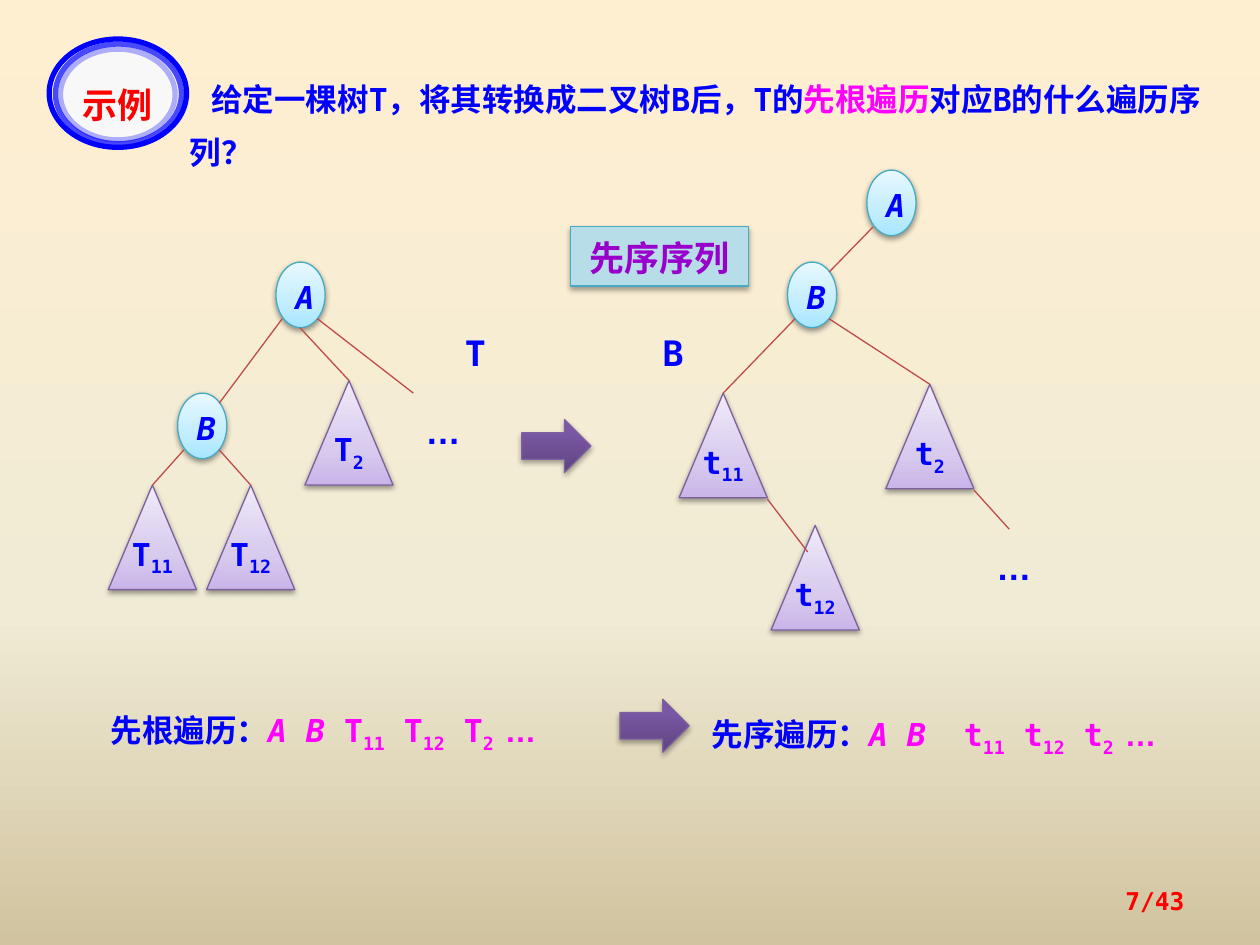
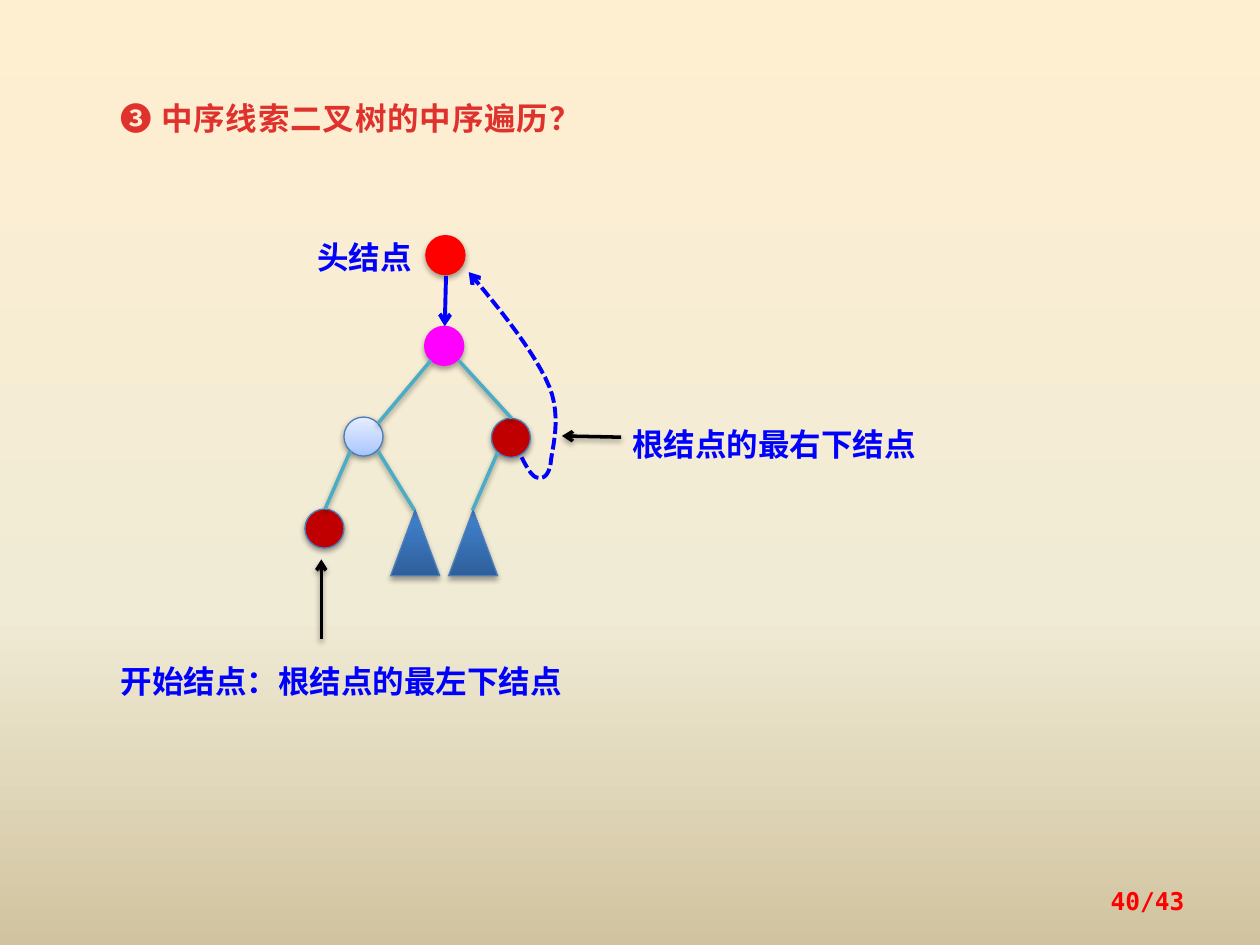
"""Builds two slides on tree traversal: tree to binary tree, and a threaded binary tree."""
from copy import deepcopy
from dataclasses import dataclass

from lxml import etree
from pptx import Presentation
from pptx import util as u
from pptx.dml.color import RGBColor
from pptx.enum import dml, shapes, text
from pptx.oxml.ns import qn

PX = 9144


@dataclass(frozen=True)
class Theme:
    blue: str = "0000FF"
    magenta: str = "FF00FF"
    red: str = "FF0000"
    heading: str = "E0322D"
    purple: str = "9900CC"
    edge: str = "BF4C48"
    teal: str = "4BACC6"
    black: str = "000000"
    mono: str = "DejaVu Sans Mono"
    chinese: str = "Noto Sans CJK SC"
    badge: str = "Noto Sans CJK JP"
    symbol: str = "Arial"
    body: int = 18
    large: int = 20
    small: int = 14
    backdrop: tuple = ((0, "FFEFD1"), (65, "F0EBD5"), (100, "D1C39F"))
    sky: tuple = ((0, "A7E6FF"), (35, "C1EDFF"), (100, "E7F8FF"))
    lilac: tuple = ((0, "C9B5E8"), (35, "D8CBEE"), (100, "F0EAF9"))
    violet: tuple = ((0, "5F4480"), (80, "7B58A6"), (100, "7C57A8"))
    pale: tuple = ((0, "A4C4FF"), (35, "BFD4FF"), (100, "E6EEFF"))
    ocean: tuple = ((0, "2F5F99"), (80, "3D7CC7"), (100, "3A7CCB"))


theme = Theme()


def paint(fill, element, colours, angle=90):
    """Fill with one colour or a list of gradient stops."""
    if isinstance(colours, str):
        fill.solid()
        fill.fore_color.rgb = RGBColor.from_string(colours)
        return
    fill.gradient()
    fill.gradient_angle = angle
    stop_list = next(element.iter(qn("a:gsLst")))
    stop_list.append(deepcopy(stop_list[0]))
    for stop, (position, colour) in zip(fill.gradient_stops, colours):
        stop.position = position / 100
        stop.color.rgb = RGBColor.from_string(colour)


def write(box, spans, spacing=u.Pt(30), align=text.PP_ALIGN.LEFT,
          anchor=text.MSO_ANCHOR.TOP, inset=None, indent=0, **base):
    """Write one paragraph of (words, format) spans, each format refining the base."""
    frame = box.text_frame
    frame.word_wrap = True
    frame.vertical_anchor = anchor
    if inset is not None:
        for side in ("left", "right", "top", "bottom"):
            setattr(frame, f"margin_{side}", inset)
    para = frame.paragraphs[0]
    para.alignment = align
    para.line_spacing = spacing
    if indent:
        para._p.get_or_add_pPr().set("indent", str(indent * PX))
    for words, extra in spans:
        style = {"size": theme.body, "color": theme.blue, "name": theme.mono, "bold": True} | base | extra
        span = para.add_run()
        span.text = words
        span.font.color.rgb = RGBColor.from_string(style.pop("color"))
        marks = {key: style.pop(key) for key in ("baseline", "spc") if key in style}
        style["size"] = u.Pt(style["size"])
        for key, value in style.items():
            setattr(span.font, key, value)
        props = span._r.get_or_add_rPr()
        for key, value in marks.items():
            props.set(key, str(value))
        if max(words) > "一":
            face = theme.chinese if style["name"] == theme.mono else style["name"]
            etree.SubElement(props, qn("a:ea")).set("typeface", face)


deck = Presentation()
deck.slide_width, deck.slide_height = 1000 * PX, 750 * PX
preorder, threaded = [deck.slides.add_slide(deck.slide_layouts[6]) for _ in range(2)]

for page, number in ((preorder, "7/43"), (threaded, "40/43")):
    paint(page.background.fill, page.element, theme.backdrop, angle=270)
    box = page.shapes.add_textbox(717 * PX, 695 * PX, 233 * PX, 40 * PX)
    write(box, [(number, {})], spacing=1.0, align=text.PP_ALIGN.RIGHT,
          anchor=text.MSO_ANCHOR.MIDDLE, size=theme.small, color=theme.red)

PRESET = shapes.MSO_SHAPE
SOFT, STRONG = (38, 20000), (35, 23000)
looks = {
    "node": (PRESET.OVAL, 39, 52, theme.sky, "46AAC5", SOFT),
    "subtree": (PRESET.ISOSCELES_TRIANGLE, 70, 83, theme.lilac, "7D60A0", SOFT),
    "arrow": (PRESET.RIGHT_ARROW, 55, 42, theme.violet, "7D60A0", STRONG),
    "answer": (PRESET.RECTANGLE, 141, 47, "B7DEE8", "46AAC5", STRONG),
    "head": (PRESET.OVAL, 31, 31, theme.red, theme.red, STRONG),
    "root": (PRESET.OVAL, 31, 31, theme.magenta, theme.magenta, STRONG),
    "inner": (PRESET.OVAL, 31, 31, theme.pale, "4B7EBC", SOFT),
    "end": (PRESET.OVAL, 31, 31, "C00000", "4B7EBC", SOFT),
    "branch": (PRESET.ISOSCELES_TRIANGLE, 39, 52, theme.ocean, "4B7EBC", STRONG),
}
sub = {"baseline": -25000}
italic = {"italic": True}
centred = {"align": text.PP_ALIGN.CENTER}
middle = centred | {"anchor": text.MSO_ANCHOR.MIDDLE}
captions = {
    "node": middle | {"spacing": 1.1, "italic": True},
    "subtree": middle | {"spacing": u.Pt(16), "inset": 0},
    "answer": centred | {"spacing": u.Pt(26), "size": theme.large, "color": theme.purple},
}
figures = [
    (preorder, "arrow", 492, 555, ""), (preorder, "arrow", 414, 333, ""),
    (preorder, "node", 688, 135, "A"), (preorder, "node", 625, 208, "B"),
    (preorder, "node", 219, 208, "A"), (preorder, "node", 141, 312, "B"),
    (preorder, "subtree", 86, 385, "T11"), (preorder, "subtree", 164, 385, "T12"),
    (preorder, "subtree", 242, 302, "T2"), (preorder, "subtree", 539, 312, "t11"),
    (preorder, "subtree", 612, 417, "t12"), (preorder, "subtree", 703, 305, "t2"),
    (preorder, "answer", 453, 180, "先序序列"),
    (threaded, "head", 338, 187, ""), (threaded, "root", 337, 259, ""),
    (threaded, "inner", 273, 331, ""), (threaded, "end", 242, 404, ""),
    (threaded, "end", 390, 332, ""),
    (threaded, "branch", 310, 405, ""), (threaded, "branch", 356, 405, ""),
]
for page, look, left, top, label in figures:
    preset, width, height, colours, outline, (alpha, distance) = looks[look]
    figure = page.shapes.add_shape(preset, left * PX, top * PX, width * PX, height * PX)
    paint(figure.fill, figure.element, colours)
    figure.line.color.rgb = RGBColor.from_string(outline)
    figure.line.width = u.Pt(0.75)
    figure.shadow.inherit = False
    effects = figure.element.spPr.find(qn("a:effectLst"))
    shadow = etree.SubElement(effects, qn("a:outerShdw"), blurRad="40000",
                              dist=str(distance), dir="5400000", rotWithShape="0")
    tint = etree.SubElement(shadow, qn("a:srgbClr"), val=theme.black)
    etree.SubElement(tint, qn("a:alpha"), val=str(alpha * 1000))
    if label:
        spans = [(label[0], {}), (label[1:], sub)] if look == "subtree" else [(label, {})]
        write(figure, spans, **captions[look])

for left, top, width, height, alpha in ((39, 31, 109, 86, 100), (44, 35, 100, 79, 70), (48, 39, 91, 72, 30)):
    ring = preorder.shapes.add_shape(PRESET.OVAL, left * PX, top * PX, width * PX, height * PX)
    ring.shadow.inherit = False
    if alpha == 100:
        paint(ring.fill, ring.element, "F8F8F8")
    else:
        ring.fill.background()
    ring.line.color.rgb = RGBColor.from_string(theme.blue)
    ring.line.width = u.Pt(3)
    tint = ring.element.spPr.find(qn("a:ln")).find(".//" + qn("a:srgbClr"))
    etree.SubElement(tint, qn("a:alpha"), val=str(alpha * 1000))

strokes = [
    (preorder, theme.edge, 0.75, False, False, [
        (693, 180, 658, 216), (658, 253, 738, 305), (631, 253, 574, 312),
        (609, 396, 641, 438), (773, 389, 801, 420),
        (224, 253, 174, 320), (238, 260, 277, 302), (252, 253, 328, 312),
        (146, 357, 121, 385), (174, 357, 199, 385)]),
    (threaded, theme.teal, 2, False, True, [
        (342, 286, 300, 336), (364, 286, 406, 332), (278, 358, 258, 404),
        (300, 358, 329, 405), (395, 359, 375, 405)]),
    (threaded, theme.black, 2, True, True, [(255, 507, 255, 444), (493, 347, 446, 346)]),
    (threaded, theme.blue, 2.25, True, False, [(354, 219, 353, 259)]),
]
for page, colour, weight, pointed, shaded, edges in strokes:
    for edge in edges:
        link = page.shapes.add_connector(shapes.MSO_CONNECTOR.STRAIGHT, *[value * PX for value in edge])
        link.line.color.rgb = RGBColor.from_string(colour)
        link.line.width = u.Pt(weight)
        if pointed:
            etree.SubElement(link.element.spPr.find(qn("a:ln")), qn("a:tailEnd"), type="arrow")
        effects = etree.SubElement(link.element.spPr, qn("a:effectLst"))
        if shaded:
            effects.append(deepcopy(shadow))

knots = [(414, 363), (418, 371), (422, 378), (426, 379), (429, 380), (435, 380), (437, 368),
         (438, 356), (446, 332), (436, 307), (425, 281), (399, 248), (372, 216)]
STEPS = 12
curve = []
for first in range(0, len(knots) - 1, 3):
    for step in range(1, STEPS + 1):
        t = step / STEPS
        weights = ((1 - t) ** 3, 3 * t * (1 - t) ** 2, 3 * t * t * (1 - t), t ** 3)
        curve.append([round(PX * sum(w * knot[axis] for w, knot in zip(weights, knots[first:first + 4])))
                      for axis in (0, 1)])
builder = threaded.shapes.build_freeform(knots[0][0] * PX, knots[0][1] * PX)
builder.add_line_segments(curve, close=False)
thread = builder.convert_to_shape()
thread.shadow.inherit = False
thread.fill.background()
thread.line.color.rgb = RGBColor.from_string(theme.blue)
thread.line.width = u.Pt(2.25)
thread.line.dash_style = dml.MSO_LINE.SQUARE_DOT
dash = thread.element.spPr.find(qn("a:ln")).find(qn("a:prstDash"))
dash.set("val", "sysDash")
etree.SubElement(thread.element.spPr.find(qn("a:ln")), qn("a:tailEnd"), type="arrow")

pink = {"color": theme.magenta}
dots = [("…", {"name": theme.symbol})]
chinese = {"name": theme.chinese}
large = {"size": theme.large}
sequences = []
for title, letter, gap in (("先根遍历：", "T", 0), ("先序遍历：", "t", 1084)):
    spans = [(title, {}), ("A B", pink | italic), (" ", pink | {"spc": gap})]
    for index, key in enumerate(("11", "12", "2 ")):
        spans += [(letter if index == 0 else " " + letter, pink), (key, pink | sub)]
    sequences.append(spans + [("…", pink | {"name": theme.symbol})])

notes = [
    (preorder, 141, 47, 844, 90, [("给定一棵树T，将其转换成二叉树B后，T的", {}), ("先根遍历", pink),
                                  ("对应B的什么遍历序列？", {})], {"indent": 17}),
    (preorder, 78, 552, 398, 52, sequences[0], {}),
    (preorder, 555, 555, 398, 52, sequences[1], {}),
    (preorder, 328, 312, 55, 52, dots, large),
    (preorder, 781, 420, 55, 52, dots, large),
    (preorder, 359, 250, 55, 52, [("T", {})], large),
    (preorder, 516, 250, 55, 52, [("B", {})], large),
    (preorder, 45, 58, 96, 39, [("示例", {})],
     centred | large | {"spacing": 1.1, "name": theme.badge, "color": theme.red}),
    (threaded, 86, 62, 625, 48, [("❸ 中序线索二叉树的中序遍历？", {})],
     chinese | {"color": theme.heading, "spc": 50}),
    (threaded, 86, 509, 398, 52, [("开始结点：根结点的最左下结点", {})], chinese),
    (threaded, 492, 321, 313, 46, [("根结点的最右下结点", {})], chinese),
    (threaded, 242, 172, 117, 46, [("头结点", {})], chinese),
]
for page, left, top, width, height, spans, style in notes:
    box = page.shapes.add_textbox(left * PX, top * PX, width * PX, height * PX)
    write(box, spans, **style)
    box.text_frame.auto_size = text.MSO_AUTO_SIZE.SHAPE_TO_FIT_TEXT

deck.save("out.pptx")
